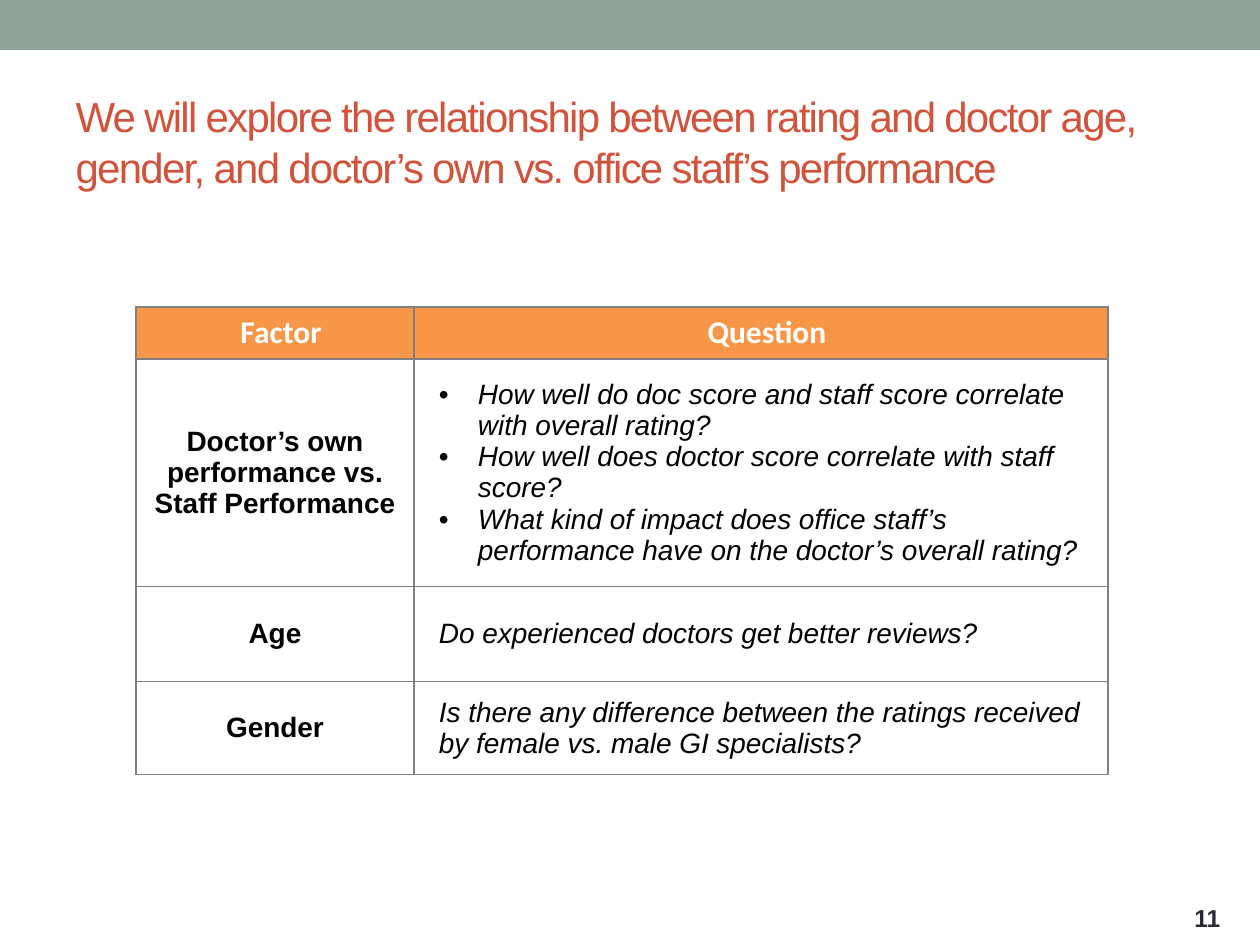
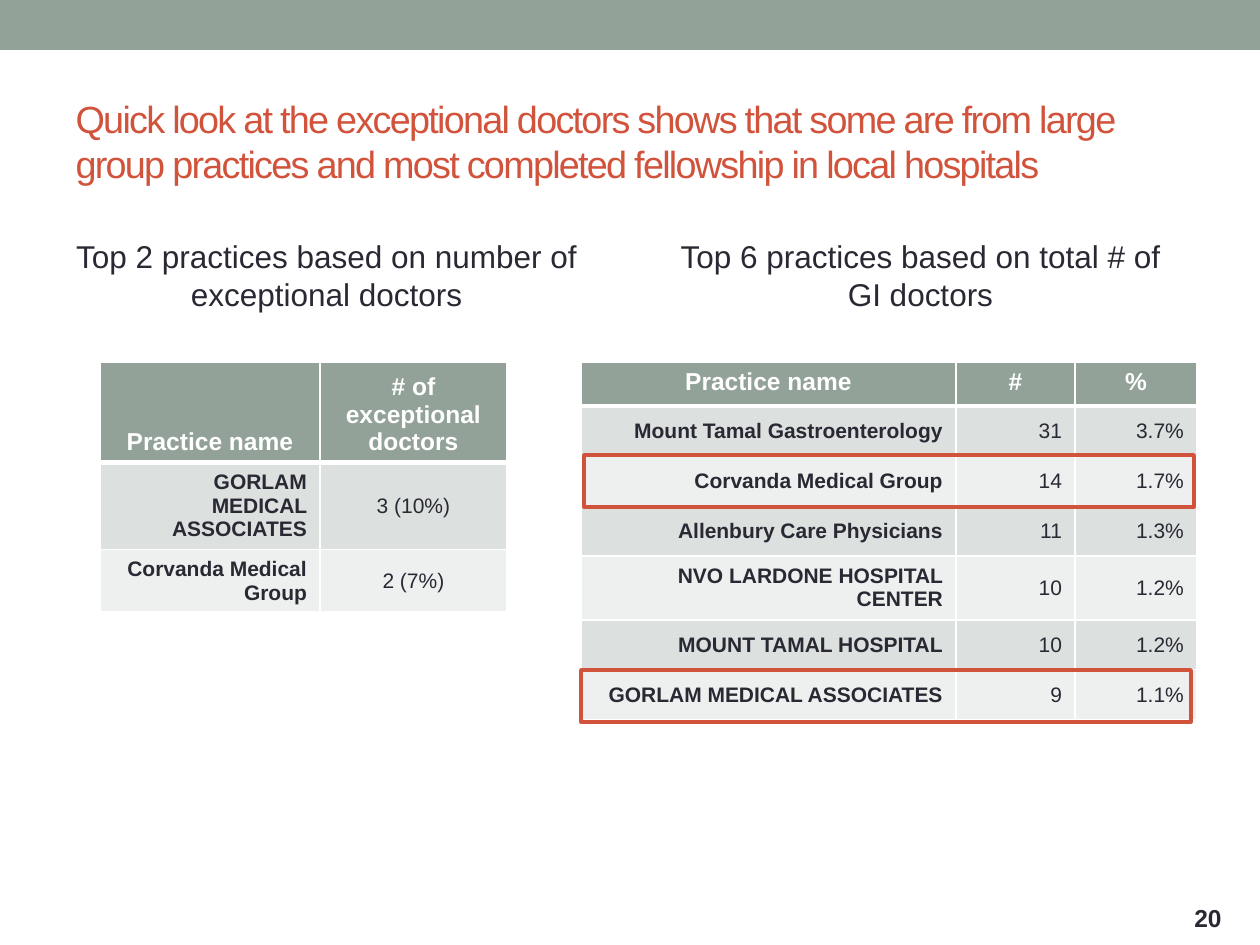
"""Build two slides on doctor ratings: the research questions and the leading practices."""
from lxml.etree import SubElement
from pptx import Presentation
from pptx.dml.color import RGBColor
from pptx.enum.shapes import MSO_SHAPE
from pptx.enum.text import MSO_ANCHOR, MSO_AUTO_SIZE, PP_ALIGN
from pptx.oxml.ns import qn
from pptx.util import Pt

PX = 7257
SAGE, RUST, INK, WHITE = "93A299", "D2533C", "292934", "FFFFFF"
ORANGE, GREY, BLACK = "F79646", "808080", "000000"
STRIPES = ["DCE0DE", "EEF0EF"]
LEFT, CENTER, RIGHT = PP_ALIGN.LEFT, PP_ALIGN.CENTER, PP_ALIGN.RIGHT
TOP, MIDDLE, BOTTOM = MSO_ANCHOR.TOP, MSO_ANCHOR.MIDDLE, MSO_ANCHOR.BOTTOM
color = RGBColor.from_string


def write(para, text, size, ink, align=LEFT, bold=False, italic=False, font="Arial"):
    para.alignment = align
    span = para.add_run()
    span.text = text
    span.font.name = font
    span.font.size = Pt(size)
    span.font.bold = bold
    span.font.italic = italic
    span.font.color.rgb = color(ink)
    return span


def style_cell(cell, fill, line, anchor, margins=(13, 6, 13, 6), bottom=1):
    cell.vertical_anchor = anchor
    cell.margin_left, cell.margin_top, cell.margin_right, cell.margin_bottom = [
        margin * PX for margin in margins]
    properties = cell._tc.get_or_add_tcPr()
    for side, width in (("L", 1), ("R", 1), ("T", 1), ("B", bottom)):
        border = SubElement(properties, qn(f"a:ln{side}"), w=str(Pt(width)))
        solid = SubElement(border, qn("a:solidFill"))
        SubElement(solid, qn("a:srgbClr"), val=line)
    if fill:
        cell.fill.solid()
        cell.fill.fore_color.rgb = color(fill)
    else:
        cell.fill.background()


deck = Presentation()
deck.slide_width, deck.slide_height = 1260 * PX, 945 * PX

headings = [
    ("We will explore the relationship between rating and doctor age, "
     "gender, and doctor’s own vs. office staff’s performance", 24, "11"),
    ("Quick look at the exceptional doctors shows that some are from large "
     "group practices and most completed fellowship in local hospitals", 21.6, "20"),
]
pages = []
for heading, size, number in headings:
    page = deck.slides.add_slide(deck.slide_layouts[5])
    pages.append(page)
    band = page.shapes.add_shape(MSO_SHAPE.RECTANGLE, 0, 0, 1260 * PX, 50 * PX)
    band.shadow.inherit = False
    band.fill.solid()
    band.fill.fore_color.rgb = color(SAGE)
    band.line.fill.background()

    title = page.shapes.title
    title.left, title.top, title.width, title.height = 63 * PX, 73 * PX, 1134 * PX, 136 * PX
    frame = title.text_frame
    frame.word_wrap = True
    frame.auto_size = MSO_AUTO_SIZE.NONE
    frame.vertical_anchor = MIDDLE
    span = write(frame.paragraphs[0], heading, size, RUST)
    span.font._element.set("spc", "-100")

    box = page.shapes.add_textbox(1182 * PX, 895 * PX, 73 * PX, 45 * PX)
    box.text_frame.word_wrap = True
    box.text_frame.vertical_anchor = MIDDLE
    write(box.text_frame.paragraphs[0], number, 14, INK, bold=True)

questions_page, practices_page = pages

factors = [
    ("Doctor’s own performance vs. Staff Performance", [
        "How well do doc score and staff score correlate with overall rating?",
        "How well does doctor score correlate with staff score?",
        "What kind of impact does office staff’s performance have on the doctor’s overall rating?"]),
    ("Age", ["Do experienced doctors get better reviews?"]),
    ("Gender", ["Is there any difference between the ratings received by female vs. male GI specialists?"]),
]
row_heights = [52, 212, 95, 87]
table = questions_page.shapes.add_table(
    4, 2, 136 * PX, 307 * PX, 972 * PX, sum(row_heights) * PX).table
table.columns[0].width, table.columns[1].width = 278 * PX, 694 * PX
for row, height in zip(table.rows, row_heights):
    row.height = height * PX
for cell, label in zip(table.rows[0].cells, ("Factor", "Question")):
    style_cell(cell, ORANGE, GREY, MIDDLE, (25, 6, 13, 6))
    write(cell.text_frame.paragraphs[0], label, 18, WHITE, CENTER, True, font="Calibri")
for index, (factor, questions) in enumerate(factors, 1):
    factor_cell, question_cell = table.cell(index, 0), table.cell(index, 1)
    style_cell(factor_cell, None, GREY, MIDDLE, (6, 6, 6, 6))
    write(factor_cell.text_frame.paragraphs[0], factor, 16, BLACK, CENTER, True)
    style_cell(question_cell, None, GREY, MIDDLE, (25, 13, 25, 13))
    frame = question_cell.text_frame
    for position, question in enumerate(questions):
        para = frame.add_paragraph() if position else frame.paragraphs[0]
        write(para, question, 16, BLACK, italic=True)
        if len(questions) > 1:
            properties = para._p.get_or_add_pPr()
            properties.set("marL", str(39 * PX))
            properties.set("indent", str(-39 * PX))
            SubElement(properties, qn("a:buFont"), typeface="Arial")
            SubElement(properties, qn("a:buChar"), char="•")

captions = [(57, "Top 2 practices based on number of exceptional doctors"),
            (651, "Top 6 practices based on total # of GI doctors")]
for left, caption in captions:
    box = practices_page.shapes.add_textbox(left * PX, 231 * PX, 539 * PX, 89 * PX)
    box.text_frame.word_wrap = True
    write(box.text_frame.paragraphs[0], caption, 18, INK, CENTER)

exceptional = [
    ("Practice name", "# of exceptional doctors"),
    ("GORLAM MEDICAL ASSOCIATES", "3 (10%)"),
    ("Corvanda Medical Group", "2 (7%)"),
]
largest = [
    ("Practice name", "#", "%"),
    ("Mount Tamal Gastroenterology", "31", "3.7%"),
    ("Corvanda Medical Group", "14", "1.7%"),
    ("Allenbury Care Physicians", "11", "1.3%"),
    ("NVO LARDONE HOSPITAL CENTER", "10", "1.2%"),
    ("MOUNT TAMAL HOSPITAL", "10", "1.2%"),
    ("GORLAM MEDICAL ASSOCIATES", "9", "1.1%"),
]
practice_tables = [
    (exceptional, 100, [220, 187], [95, 59, 59], BOTTOM, CENTER),
    (largest, 581, [375, 119, 122], [44, 50, 50, 50, 64, 50, 50], TOP, RIGHT),
]
for records, left, widths, heights, header_anchor, value_align in practice_tables:
    table = practices_page.shapes.add_table(
        len(records), len(widths), left * PX, 362 * PX,
        sum(widths) * PX, sum(heights) * PX).table
    for column, width in zip(table.columns, widths):
        column.width = width * PX
    for index, (row, height, record) in enumerate(zip(table.rows, heights, records)):
        row.height = height * PX
        for position, (cell, text) in enumerate(zip(row.cells, record)):
            para = cell.text_frame.paragraphs[0]
            if index == 0:
                style_cell(cell, SAGE, WHITE, header_anchor, bottom=3)
                write(para, text, 14, WHITE, CENTER, True)
            else:
                style_cell(cell, STRIPES[(index - 1) % 2], WHITE, MIDDLE)
                align = value_align if position else RIGHT
                write(para, text, 12, INK, align, position == 0)

for left, top in ((581, 670), (584, 455)):
    highlight = practices_page.shapes.add_shape(
        MSO_SHAPE.RECTANGLE, left * PX, top * PX, 610 * PX, 52 * PX)
    highlight.shadow.inherit = False
    highlight.fill.background()
    highlight.line.color.rgb = color(RUST)
    highlight.line.width = Pt(2.08)

deck.save("out.pptx")
